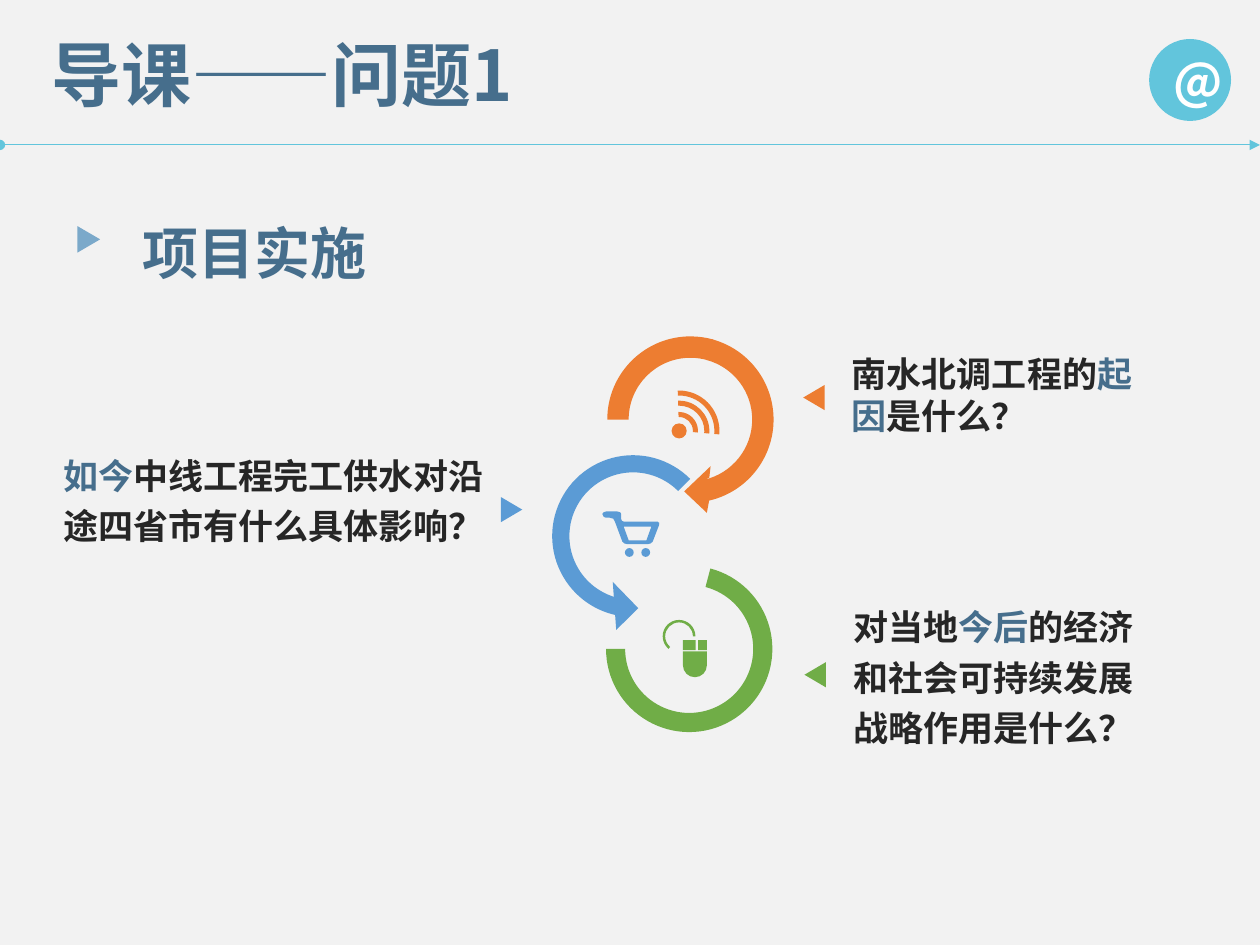
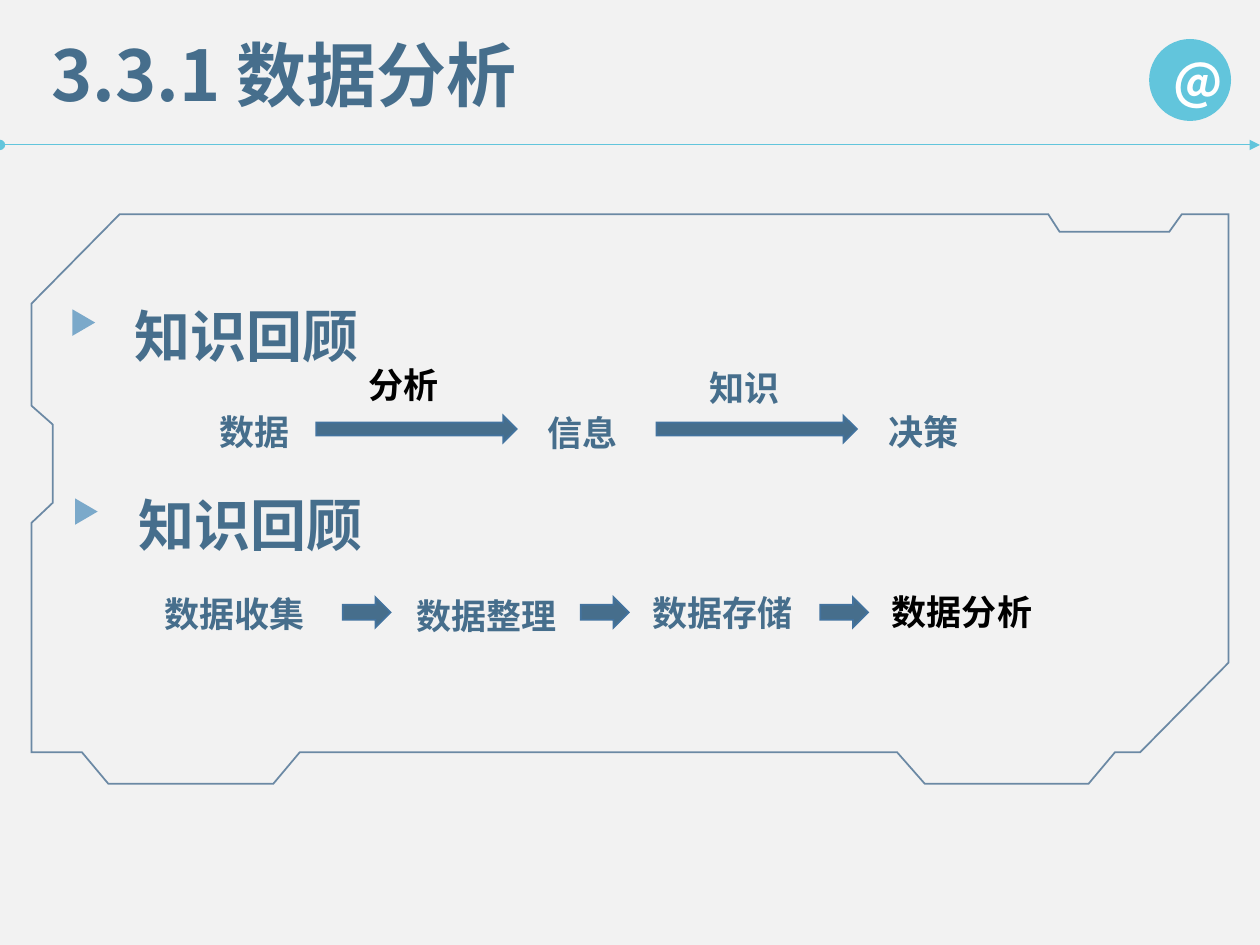
from itertools import chain
from math import cos, radians, sin, tan

from lxml.etree import SubElement
from pptx import Presentation
from pptx.dml.color import RGBColor
from pptx.enum.shapes import MSO_CONNECTOR as Connector, MSO_SHAPE as Shape
from pptx.enum.text import MSO_ANCHOR as Anchor, MSO_AUTO_SIZE as AutoSize, PP_ALIGN as Align
from pptx.oxml.ns import qn
from pptx.util import Emu, Pt

PX = 9144
FONT = "Noto Sans CJK SC"
PAPER = RGBColor(0xF2, 0xF2, 0xF2)
WHITE = RGBColor(0xFF, 0xFF, 0xFF)
BLACK = RGBColor(0x00, 0x00, 0x00)
INK = RGBColor(0x26, 0x26, 0x26)
SLATE = RGBColor(0x46, 0x6E, 0x8C)
CYAN = RGBColor(0x62, 0xC5, 0xDC)
MARKER = RGBColor(0x7B, 0xA9, 0xCA)
EDGE = RGBColor(0x43, 0x73, 0x9E)
NAVY = RGBColor(0x1F, 0x4E, 0x79)
ORANGE = RGBColor(0xED, 0x7D, 0x31)
BLUE = RGBColor(0x5B, 0x9B, 0xD5)
GREEN = RGBColor(0x70, 0xAD, 0x47)


def px(length):
    return Emu(round(length * PX))


def arc(x, y, radius, start, end):
    low, high = sorted((start, end))
    stops = [low] + [a for a in range(-90, 450, 90) if low < a < high] + [high]
    if start > end:
        stops.reverse()
    angles = [radians(a) for a in stops]
    segments = [(x + radius * cos(angles[0]), y + radius * sin(angles[0]))]
    for a, b in zip(angles, angles[1:]):
        pull = 4 / 3 * tan((b - a) / 4)
        segments.append((x + radius * (cos(a) - pull * sin(a)), y + radius * (sin(a) + pull * cos(a)),
                         x + radius * (cos(b) + pull * sin(b)), y + radius * (sin(b) - pull * cos(b)),
                         x + radius * cos(b), y + radius * sin(b)))
    return segments


def ring(x, y, outer, inner, start, end, tip=()):
    return arc(x, y, outer, start, end) + list(tip) + arc(x, y, inner, end, start)


def rectangle(left, top, right, bottom):
    return [(left, top), (right, top), (right, bottom), (left, bottom)]


class SlideBuilder:
    def __init__(self):
        self.deck = Presentation()
        self.deck.slide_width, self.deck.slide_height = px(1000), px(750)
        fill = self.deck.slide_master.background.fill
        fill.solid()
        fill.fore_color.rgb = PAPER
        self.page = None

    def start(self, title):
        self.page = self.deck.slides.add_slide(self.deck.slide_layouts[5])
        box = self.page.shapes.title
        box.left, box.top, box.width, box.height = map(px, (31, 20, 692, 77))
        box.text_frame.text = title
        box.text_frame.vertical_anchor = Anchor.TOP
        box.text_frame.auto_size = AutoSize.NONE
        para = box.text_frame.paragraphs[0]
        para.alignment = Align.LEFT
        self.style(para.runs[0], 40, SLATE)
        self.rule(115)
        badge = self.shape(Shape.OVAL, 912, 31, 65, 65, CYAN)
        badge.text_frame.text = "@"
        badge.text_frame.vertical_anchor = Anchor.MIDDLE
        para = badge.text_frame.paragraphs[0]
        para.alignment = Align.CENTER
        self.style(para.runs[0], 28, WHITE)

    def style(self, span, size, color):
        span.font.size = Pt(size)
        span.font.bold = True
        span.font.color.rgb = color
        span.font.name = FONT
        SubElement(span.font._element, qn("a:ea"), typeface=FONT)

    def rule(self, top):
        line = self.page.shapes.add_connector(Connector.STRAIGHT, 0, px(top), px(1000), px(top))
        line.line.color.rgb = CYAN
        line.line.width = Pt(0.5)
        outline = line.line._get_or_add_ln()
        SubElement(outline, qn("a:headEnd"), type="oval")
        SubElement(outline, qn("a:tailEnd"), type="triangle")
        SubElement(line._element.spPr, qn("a:effectLst"))

    def shape(self, kind, left, top, width, height, color, adjust=(), edge=None):
        shape = self.page.shapes.add_shape(kind, px(left), px(top), px(width), px(height))
        for i, value in enumerate(adjust):
            shape.adjustments[i] = value
        self.paint(shape, color, edge)
        return shape

    def paint(self, shape, color, edge=None):
        shape.shadow.inherit = False
        if color is None:
            shape.fill.background()
        else:
            shape.fill.solid()
            shape.fill.fore_color.rgb = color
        if edge is None:
            shape.line.fill.background()
        else:
            shape.line.color.rgb = edge
            shape.line.width = Pt(1)
            SubElement(shape.line._get_or_add_ln(), qn("a:miter"), lim="800000")

    def pointer(self, left, top, width, height, color, rotation=90):
        self.shape(Shape.ISOSCELES_TRIANGLE, left, top, width, height, color).rotation = rotation

    def outline(self, contours, color, edge=None):
        contours = [[tuple(map(px, segment)) for segment in contour] for contour in contours]
        builder = self.page.shapes.build_freeform(*contours[0][0], scale=1.0)
        for i, contour in enumerate(contours):
            if i:
                builder.move_to(*contour[0])
            builder.add_line_segments([segment[-2:] for segment in contour[1:]], close=True)
        shape = builder.convert_to_shape()
        self.bend(shape, chain.from_iterable(contours))
        self.paint(shape, color, edge)
        return shape

    def bend(self, shape, segments):
        outline = shape._element.find(".//" + qn("a:path"))
        nodes = [node for node in outline if node.tag != qn("a:close")]
        for node, segment in zip(nodes, segments):
            if len(segment) == 6:
                node.tag = qn("a:cubicBezTo")
                node.remove(node[0])
                for x, y in zip(segment[::2], segment[1::2]):
                    SubElement(node, qn("a:pt"), x=str(x - shape.left), y=str(y - shape.top))

    def group(self, parts):
        self.page.shapes.add_group_shape(parts)

    def text(self, left, top, width, height, spans, size=20, spacing=None, inset=(10, 5)):
        box = self.page.shapes.add_textbox(px(left), px(top), px(width), px(height))
        frame = box.text_frame
        frame.word_wrap = True
        frame.auto_size = AutoSize.SHAPE_TO_FIT_TEXT
        frame.margin_left = frame.margin_right = px(inset[0])
        frame.margin_top = frame.margin_bottom = px(inset[1])
        para = frame.paragraphs[0]
        if spacing:
            para.line_spacing = spacing
        for words, color in spans:
            span = para.add_run()
            span.text = words
            self.style(span, size, color)

    def heading(self, words, left, top, marker_left):
        self.text(left, top, 622, 81, [(words, SLATE)], 32, 1.5)
        self.pointer(marker_left, top + 39, 21, 18, MARKER)

    def arrow(self, left, top, width, height):
        self.shape(Shape.RIGHT_ARROW, left, top, width, height, SLATE, edge=EDGE)


def question_slide(slide):
    slide.start("导课——问题1")
    slide.heading("项目实施", 103, 142, 60)

    inset = (7, 4)
    slide.text(669, 276, 258, 75,
               [("南水北调工程的", INK), ("起因", SLATE), ("是什么？", INK)], inset=inset)
    slide.text(670, 470, 261, 129,
               [("对当地", INK), ("今后", SLATE), ("的经济和社会可持续发展战略作用是什么？", INK)],
               spacing=1.2, inset=inset)
    slide.text(43, 350, 368, 88,
               [("如今", SLATE), ("中线工程完工供水对沿途四省市有什么具体影响？", INK)],
               spacing=1.2, inset=inset)
    slide.pointer(396, 396, 20, 17, BLUE)
    slide.pointer(636, 307, 20, 17, ORANGE, 270)
    slide.pointer(637, 527, 20, 17, GREEN, 270)

    slide.shape(Shape.LEFT_CIRCULAR_ARROW, 426, 349, 153, 153, BLUE,
                (0.089, 11.423, 62.936, 189, 0.125))
    slide.shape(Shape.BLOCK_ARC, 481, 449, 132, 132, GREEN, (170.851, 108, 0.115))
    arrow_head = [(561, 407), (543, 390), (564, 370), (563, 379)]
    slide.outline([ring(548, 333, 66, 49, 285, 437, arrow_head)], ORANGE)
    slide.outline([ring(548, 333, 66, 49, 180, 286)], ORANGE)

    signal_dot = slide.shape(Shape.OVAL, 533, 336, 12, 12, ORANGE)
    waves = [slide.outline([ring(539, 342, radius, radius - 4, -92, 5)], ORANGE)
             for radius in (15, 24, 32)]
    slide.group([signal_dot] + waves)

    wheels = [slide.shape(Shape.OVAL, left, 435, 7, 7, BLUE) for left in (496, 509)]
    cart = [(522, 414), (495, 414), (494, 414, 493, 413, 493, 412), (493, 408),
            (493, 407, 492, 406, 490, 406), (481, 406), (480, 406, 478, 407, 478, 408),
            (478, 410, 480, 411, 481, 411), (484, 411), (486, 411, 488, 412, 488, 414),
            (494, 430), (495, 431, 496, 432, 498, 432), (514, 432),
            (516, 432, 517, 431, 518, 430), (523, 417), (524, 416, 523, 414, 522, 414)]
    basket = [(513, 429), (499, 429), (495, 418), (517, 418)]
    slide.group(wheels + [slide.outline([cart, basket], BLUE)])

    lower_half = [(542, 517), (561, 517)] + arc(551.5, 528, 9.5, 0, 180)
    mouse = slide.outline([rectangle(542, 508, 552, 516), rectangle(554, 508, 561, 516),
                           lower_half], GREEN)
    cable = slide.outline([ring(539, 505, 13, 11, 130, 360)], GREEN)
    slide.group([mouse, cable])


def analysis_slide(slide):
    slide.start("3.3.1 数据分析")
    corners = [(734, 622), (864, 622), (885, 597), (905, 597), (975, 526), (975, 170),
               (938, 170), (928, 184), (841, 184), (832, 170), (95, 170), (25, 241),
               (25, 322), (42, 337), (42, 399), (25, 415), (25, 597), (65, 597),
               (86, 622), (217, 622), (238, 597), (712, 597)]
    frame = slide.outline([corners], None, NAVY)
    color = frame.line._get_or_add_ln().find(".//" + qn("a:srgbClr"))
    SubElement(color, qn("a:alpha"), val="64000")

    slide.heading("知识回顾", 97, 208, 56)
    slide.heading("知识回顾", 100, 358, 58)

    labels = [
        ("数据", 164, 314, 93, SLATE), ("分析", 283, 277, 93, BLACK),
        ("信息", 425, 315, 93, SLATE), ("知识", 553, 279, 93, SLATE),
        ("决策", 695, 314, 93, SLATE),
        ("数据收集", 121, 459, 165, SLATE), ("数据整理", 321, 460, 165, SLATE),
        ("数据存储", 508, 458, 165, SLATE), ("数据分析", 698, 457, 165, BLACK),
    ]
    for words, left, top, width, color in labels:
        slide.text(left, top, width, 45, [(words, color)], spacing=1.2)
    for left in (251, 521):
        slide.arrow(left, 330, 159, 21)
    for left in (272, 461, 651):
        slide.arrow(left, 474, 38, 24)


def main():
    slide = SlideBuilder()
    question_slide(slide)
    analysis_slide(slide)
    slide.deck.save("out.pptx")


if __name__ == "__main__":
    main()
